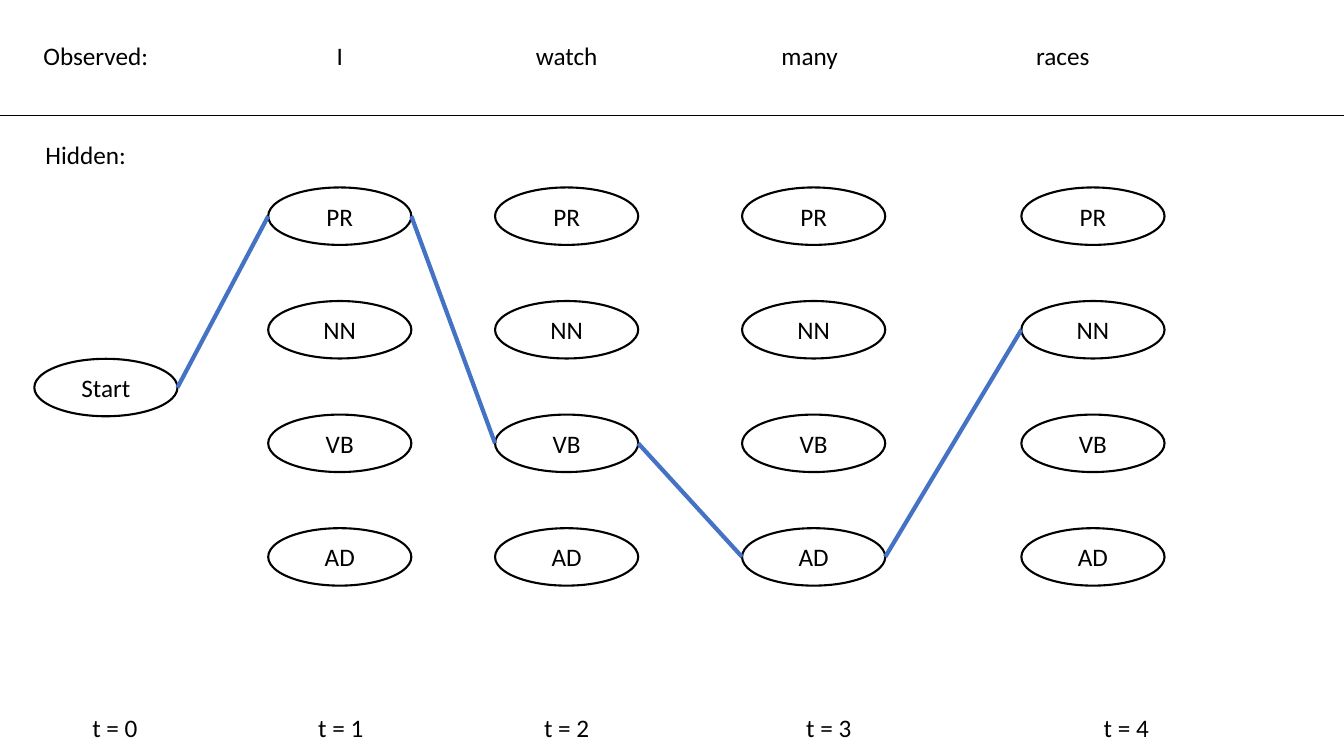
from dataclasses import dataclass

from lxml import etree
from pptx import Presentation
from pptx import util as u
from pptx.dml.color import RGBColor
from pptx.enum import shapes, text
from pptx.oxml.ns import qn


@dataclass(frozen=True)
class Theme:
    font: str = "Calibri"
    size: float = 18
    ink: str = "000000"
    paper: str = "FFFFFF"
    path_color: str = "4472C4"
    outline: float = 1.5
    rule: float = 0.5
    path_width: float = 3


@dataclass(frozen=True)
class Box:
    left: float
    top: float
    width: float
    height: float

    @property
    def middle(self):
        return self.top + self.height / 2

    @property
    def right(self):
        return self.left + self.width

    def lengths(self):
        return [u.Inches(value) for value in (self.left, self.top, self.width, self.height)]


@dataclass(frozen=True)
class Step:
    word: str
    word_left: float
    state_left: float
    time_left: float
    best_tag: str


THEME = Theme()
SLIDE_WIDTH, SLIDE_HEIGHT = 13.33, 7.5
ITEM_WIDTH, LABEL_HEIGHT, STATE_HEIGHT = 1.42, 0.4, 0.57
TAGS = ["PR", "NN", "VB", "AD"]
STEPS = [
    Step("I", 2.66, 2.66, 2.67, "PR"),
    Step("watch", 4.91, 4.91, 4.91, "VB"),
    Step("many", 7.32, 7.36, 7.51, "AD"),
    Step("races", 9.83, 10.13, 10.46, "NN"),
]


def write(shape, words, size=THEME.size, color=THEME.ink):
    frame = shape.text_frame
    frame.word_wrap = True
    frame.vertical_anchor = text.MSO_ANCHOR.MIDDLE
    paragraph = frame.paragraphs[0]
    paragraph.text = words
    paragraph.alignment = text.PP_ALIGN.CENTER
    paragraph.font.name = THEME.font
    paragraph.font.size = u.Pt(size)
    paragraph.font.color.rgb = RGBColor.from_string(color)


def add_label(slide, words, left, top):
    box = Box(left, top, ITEM_WIDTH, LABEL_HEIGHT)
    write(slide.shapes.add_textbox(*box.lengths()), words)


def add_state(slide, words, left, top):
    box = Box(left, top, ITEM_WIDTH, STATE_HEIGHT)
    shape = slide.shapes.add_shape(shapes.MSO_SHAPE.OVAL, *box.lengths())
    shape.shadow.inherit = False
    shape.fill.solid()
    shape.fill.fore_color.rgb = RGBColor.from_string(THEME.paper)
    shape.line.color.rgb = RGBColor.from_string(THEME.ink)
    shape.line.width = u.Pt(THEME.outline)
    write(shape, words)
    return box


def add_line(slide, start, end, color, width):
    points = [u.Inches(value) for value in (*start, *end)]
    line = slide.shapes.add_connector(shapes.MSO_CONNECTOR.STRAIGHT, *points)
    line.line.color.rgb = RGBColor.from_string(color)
    line.line.width = u.Pt(width)
    etree.SubElement(line._element.spPr, qn("a:effectLst"))


def add_observed(slide, box):
    label_top = box.top + 0.35
    add_label(slide, "Observed:", box.left + 0.24, label_top)
    for step in STEPS:
        add_label(slide, step.word, box.left + step.word_left, label_top)
    bottom = box.top + box.height
    add_line(slide, (box.left, bottom), (box.right, bottom), THEME.ink, THEME.rule)


def add_hidden(slide, box):
    add_label(slide, "Hidden:", box.left + 0.14, box.top + 0.19)
    first_top, last_top = box.top + 0.72, box.top + 4.1
    pitch = (last_top - first_top) / (len(TAGS) - 1)
    best_path = [add_state(slide, "Start", box.left + 0.34, box.top + 2.42)]
    for step in STEPS:
        for row, tag in enumerate(TAGS):
            state = add_state(slide, tag, box.left + step.state_left, first_top + row * pitch)
            if tag == step.best_tag:
                best_path.append(state)
    for source, target in zip(best_path, best_path[1:]):
        add_line(slide, (source.right, source.middle), (target.left, target.middle),
                 THEME.path_color, THEME.path_width)


def add_times(slide, box):
    lefts = [0.43] + [step.time_left for step in STEPS]
    for time, left in enumerate(lefts):
        add_label(slide, f"t = {time}", box.left + left, box.top)


def main():
    presentation = Presentation()
    presentation.slide_width = u.Inches(SLIDE_WIDTH)
    presentation.slide_height = u.Inches(SLIDE_HEIGHT)
    slide = presentation.slides.add_slide(presentation.slide_layouts[6])
    add_observed(slide, Box(0, 0, SLIDE_WIDTH, 1.14))
    add_hidden(slide, Box(0, 1.14, SLIDE_WIDTH, 5.88))
    add_times(slide, Box(0, 7.02, SLIDE_WIDTH, LABEL_HEIGHT))
    presentation.save("out.pptx")


if __name__ == "__main__":
    main()
